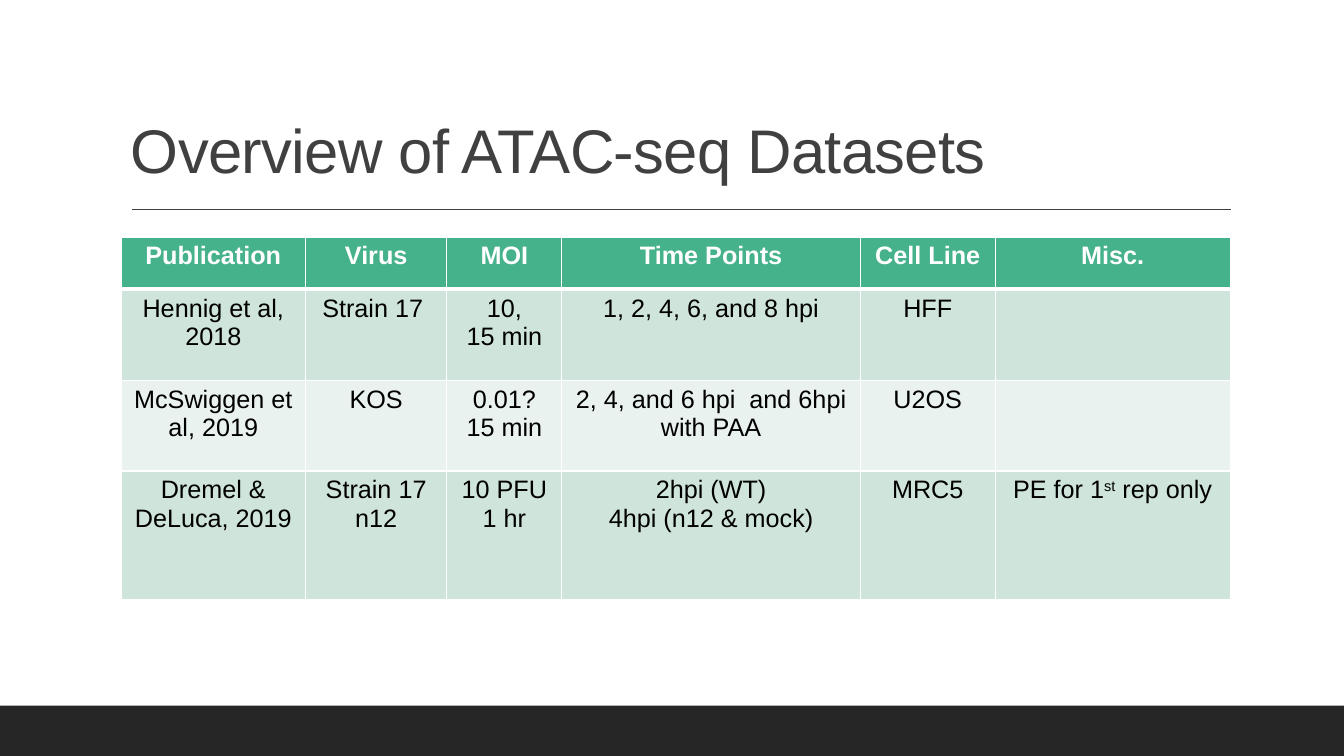
from dataclasses import dataclass

from pptx import Presentation
from pptx.dml.color import RGBColor
from pptx.enum.shapes import MSO_CONNECTOR, MSO_SHAPE
from pptx.enum.text import MSO_ANCHOR, PP_ALIGN
from pptx.oxml.ns import qn
from pptx.util import Cm, Pt
from lxml import etree

RECTANGLE = MSO_SHAPE.RECTANGLE
STRAIGHT = MSO_CONNECTOR.STRAIGHT
BOTTOM = MSO_ANCHOR.BOTTOM
LEFT, CENTER = PP_ALIGN.LEFT, PP_ALIGN.CENTER

FONT = "Arial"
WHITE, BLACK = "FFFFFF", "000000"
TITLE_GREY, FOOTER_GREY = "404040", "262626"
GREEN, PALE_GREEN, PALEST_GREEN = "46B28B", "CFE4DA", "E9F2EE"

SLIDE_WIDTH, SLIDE_HEIGHT = 33.87, 19.05
FOOTER_HEIGHT = 1.27
CONTENT_LEFT, CONTENT_WIDTH = 3.05, 27.94
COLUMN_WIDTHS = (4.65, 3.56, 2.9, 7.52, 3.4, 5.92)


@dataclass(frozen=True)
class TableRow:
    """One table row; a newline starts a paragraph, ^…^ marks superscript."""
    height: float
    fill: str
    texts: tuple[str, ...]
    color: str = BLACK
    bold: bool = False
    bottom_border: float = 1


ROWS = (
    TableRow(1.32, GREEN,
             ("Publication", "Virus", "MOI", "Time Points", "Cell Line", "Misc."),
             color=WHITE, bold=True, bottom_border=3),
    TableRow(2.29, PALE_GREEN,
             ("Hennig et al, 2018", "Strain 17 ", "10,\n15 min",
              "1, 2, 4, 6, and 8 hpi", "HFF", "")),
    TableRow(2.29, PALEST_GREEN,
             ("McSwiggen et al, 2019", "KOS", "0.01?\n15 min",
              "2, 4, and 6 hpi  and 6hpi with PAA", "U2OS", "")),
    TableRow(3.25, PALE_GREEN,
             ("Dremel & DeLuca, 2019", "Strain 17\nn12", "10 PFU\n1 hr",
              "2hpi (WT)\n4hpi (n12 & mock)", "MRC5", "PE for 1^st^ rep only")),
)


def rgb(value: str) -> RGBColor:
    return RGBColor.from_string(value)


def write_text(frame, text: str, *, size: float, color: str, bold: bool = False,
               align=LEFT, line_spacing: float = 1.0, tracking: float = 0) -> None:
    for index, line in enumerate(text.split("\n")):
        para = frame.add_paragraph() if index else frame.paragraphs[0]
        para.alignment = align
        para.line_spacing = line_spacing
        for position, piece in enumerate(line.split("^")):
            if not piece:
                continue
            span = para.add_run()
            span.text = piece
            span.font.name = FONT
            span.font.size = Pt(size)
            span.font.bold = bold
            span.font.color.rgb = rgb(color)
            properties = span.font._element
            if tracking:
                properties.set("spc", str(round(tracking * 100)))
            if position % 2:
                properties.set("baseline", "30000")


def set_border(cell, side: str, width: float) -> None:
    properties = cell._tc.get_or_add_tcPr()
    line = etree.SubElement(properties, qn(f"a:ln{side}"), w=str(Pt(width)))
    fill = etree.SubElement(line, qn("a:solidFill"))
    etree.SubElement(fill, qn("a:srgbClr"), val=WHITE)


def add_footer(page) -> None:
    footer = page.shapes.add_shape(
        RECTANGLE, Cm(0), Cm(SLIDE_HEIGHT - FOOTER_HEIGHT),
        Cm(SLIDE_WIDTH), Cm(FOOTER_HEIGHT))
    footer.shadow.inherit = False
    footer.fill.solid()
    footer.fill.fore_color.rgb = rgb(FOOTER_GREY)
    footer.line.fill.background()


def add_title(page) -> None:
    box = page.shapes.add_textbox(
        Cm(CONTENT_LEFT), Cm(0.79), Cm(CONTENT_WIDTH), Cm(4.04))
    box.text_frame.word_wrap = True
    box.text_frame.vertical_anchor = BOTTOM
    write_text(box.text_frame, "Overview of ATAC-seq Datasets", size=44,
               color=TITLE_GREY, line_spacing=0.9, tracking=-0.5)

    rule = page.shapes.add_connector(
        STRAIGHT, Cm(3.33), Cm(5.28), Cm(31.01), Cm(5.28))
    rule.line.color.rgb = rgb(TITLE_GREY)
    rule.line.width = Pt(1)
    etree.SubElement(rule._element.spPr, qn("a:effectLst"))


def add_datasets_table(page) -> None:
    table = page.shapes.add_table(
        len(ROWS), len(COLUMN_WIDTHS), Cm(CONTENT_LEFT), Cm(5.97),
        Cm(CONTENT_WIDTH), Cm(sum(row.height for row in ROWS))).table
    for column, width in zip(table.columns, COLUMN_WIDTHS):
        column.width = Cm(width)

    top_border = 1.0
    for row_index, row in enumerate(ROWS):
        table.rows[row_index].height = Cm(row.height)
        borders = {"L": 1, "R": 1, "T": top_border, "B": row.bottom_border}
        for column_index, text in enumerate(row.texts):
            cell = table.cell(row_index, column_index)
            for side, width in borders.items():
                set_border(cell, side, width)
            cell.fill.solid()
            cell.fill.fore_color.rgb = rgb(row.fill)
            write_text(cell.text_frame, text, size=18, color=row.color,
                       bold=row.bold, align=CENTER)
        top_border = row.bottom_border


def main() -> None:
    deck = Presentation()
    deck.slide_width, deck.slide_height = Cm(SLIDE_WIDTH), Cm(SLIDE_HEIGHT)
    page = deck.slides.add_slide(deck.slide_layouts[6])

    # Frame of the slide
    add_footer(page)
    add_title(page)

    # Content
    add_datasets_table(page)

    deck.save("out.pptx")


if __name__ == "__main__":
    main()
